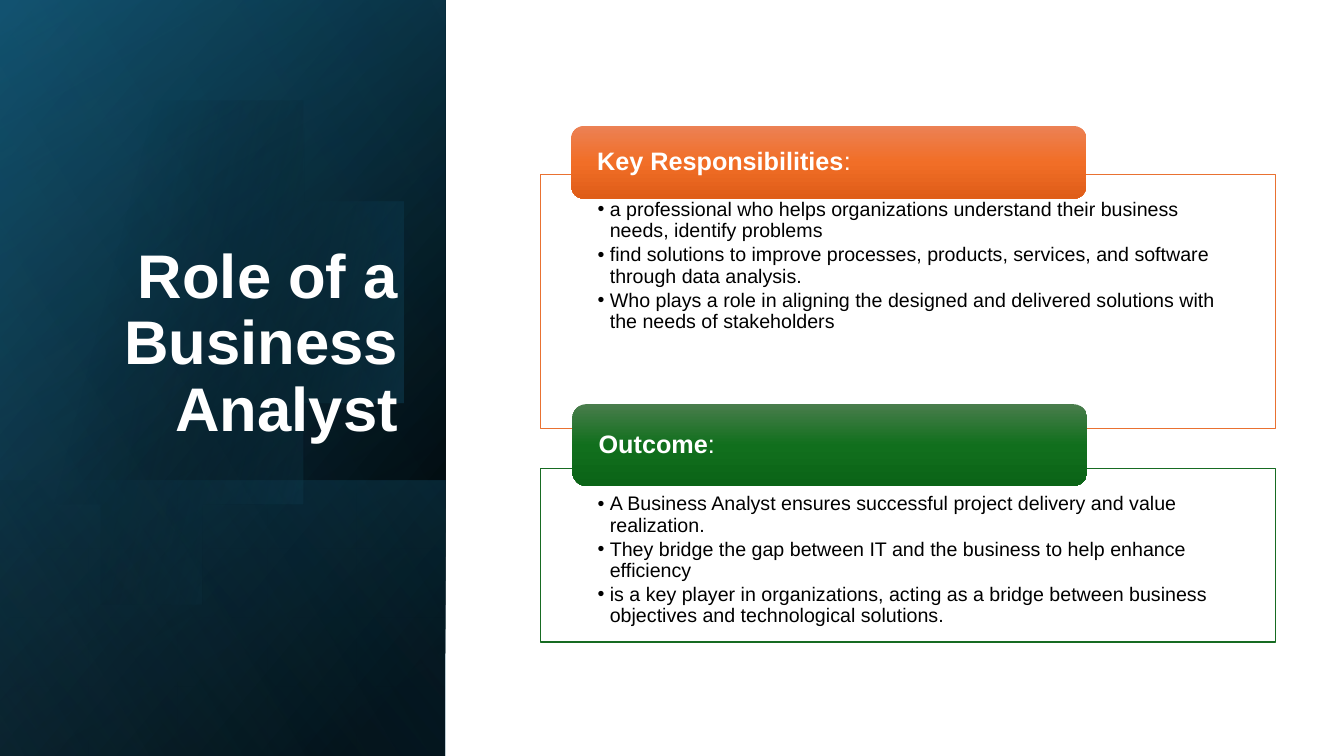
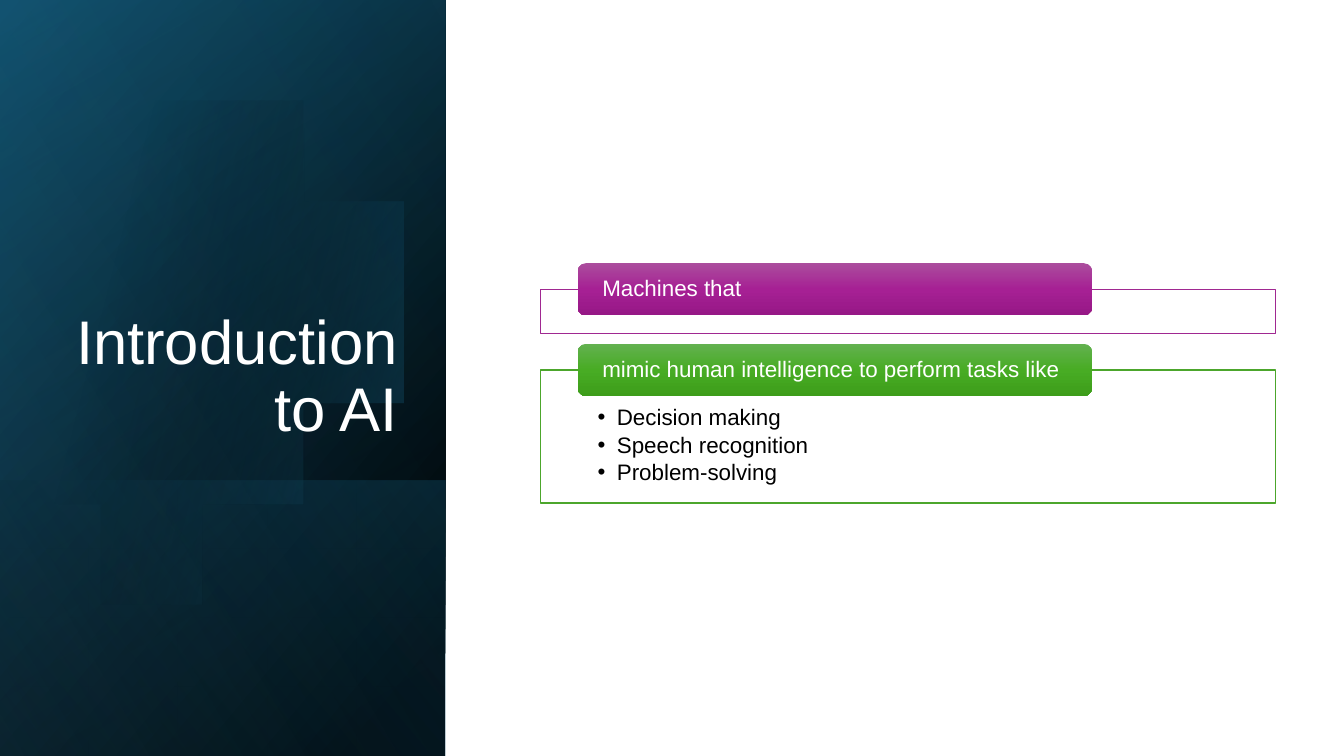
from math import acos, cos, sin, pi

from lxml.etree import SubElement
from pptx import Presentation
from pptx.dml.color import RGBColor
from pptx.enum.shapes import MSO_SHAPE
from pptx.enum.text import MSO_ANCHOR, MSO_AUTO_SIZE, PP_ALIGN
from pptx.oxml.ns import qn
from pptx.util import Inches, Pt

W, H = 13.33, 7.5
FONT, WHITE, BLACK = "Arial", "FFFFFF", "000000"
DEEP, TEAL, SKY = "0F4861", "156082", "43AFE2"
PANEL_W = W * 0.3315
CARD_X, CARD_W = W * 0.402, W * 0.547
TAB_SHARE = 0.7


def rgb(value):
    return RGBColor.from_string(value)


def gradient(sp, angle, stops):
    """Stops are (position %, colour, opacity %); the angle runs clockwise."""
    sp.fill.gradient()
    sp.fill.gradient_angle = (360 - angle) % 360
    gs_list = sp.element.spPr.find(".//" + qn("a:gsLst"))
    for old in list(gs_list):
        gs_list.remove(old)
    for pos, color, opacity in stops:
        gs = SubElement(gs_list, qn("a:gs"), pos=str(pos * 1000))
        clr = SubElement(gs, qn("a:srgbClr"), val=color)
        if opacity < 100:
            SubElement(clr, qn("a:alpha"), val=str(opacity * 1000))


def add_block(s, kind, x, y, w, h):
    sp = s.shapes.add_shape(kind, Inches(x), Inches(y), Inches(w), Inches(h))
    sp.shadow.inherit = False
    sp.line.fill.background()
    return sp


def set_frame(tf, anchor, left, top, right, bottom):
    tf.word_wrap = True
    tf.auto_size = MSO_AUTO_SIZE.NONE
    tf.vertical_anchor = anchor
    tf.margin_left, tf.margin_top = Inches(left), Inches(top)
    tf.margin_right, tf.margin_bottom = Inches(right), Inches(bottom)


def add_run(p, text, size, color, bold=False):
    r = p.add_run()
    r.text = text
    r.font.name, r.font.size, r.font.bold = FONT, Pt(size), bold
    r.font.color.rgb = rgb(color)


def add_bullet(p, indent):
    pPr = p._p.get_or_add_pPr()
    pPr.set("marL", str(Inches(indent)))
    pPr.set("indent", str(-Inches(indent)))
    SubElement(SubElement(pPr, qn("a:buClr")), qn("a:srgbClr"), val=BLACK)
    SubElement(pPr, qn("a:buFont"), typeface=FONT)
    SubElement(pPr, qn("a:buChar"), char="•")


def turned_band(s, x, y, w, h, angle, stops):
    """Rectangle filling the box, turned a quarter and mirrored."""
    sp = add_block(s, MSO_SHAPE.RECTANGLE,
                   x + (w - h) / 2, y + (h - w) / 2, h, w)
    sp.rotation = 90
    sp.element.spPr.find(qn("a:xfrm")).set("flipH", "1")
    gradient(sp, angle, stops)


def cut_disc(s, cx, cy, radius, edge, steps=90):
    """Disc with its left part cut off at the panel's edge."""
    half = acos((edge - cx) / radius)
    angles = [-half + 2 * half * i / steps for i in range(steps + 1)]
    points = [(cx + radius * cos(a), cy + radius * sin(a)) for a in angles]
    fb = s.shapes.build_freeform(*points[0], scale=Inches(1))
    fb.add_line_segments(points[1:], close=True)
    sp = fb.convert_to_shape()
    sp.shadow.inherit = False
    sp.line.fill.background()
    gradient(sp, 14, [(0, BLACK, 0), (29, BLACK, 0), (100, TEAL, 43)])


def side_panel(s, x, y, w, h):
    turned_band(s, x, y, w, h, 50,
                [(0, BLACK, 100), (8, BLACK, 100), (100, DEEP, 100)])
    turned_band(s, x, y, w, h, 30,
                [(0, BLACK, 0), (99, TEAL, 46), (100, TEAL, 46)])
    low = h * 0.365
    turned_band(s, x, y + h - low, w, low, 130,
                [(0, TEAL, 29), (2, TEAL, 29), (100, BLACK, 30)])
    cut_disc(s, x + w * 0.328, y + h * 0.45, h * 0.303, x)
    turned_band(s, x, y, w, h, 120,
                [(0, BLACK, 0), (99, SKY, 11), (100, SKY, 11)])


def panel_title(s, text, left, bold):
    title = s.shapes.title
    title.element.getparent().append(title.element)  # in front of the panel
    title.left, title.top = Inches(left), Inches(1.84)
    title.width, title.height = Inches(4.05 - left), Inches(2.62)
    tf = title.text_frame
    set_frame(tf, MSO_ANCHOR.BOTTOM, 0.1, 0.05, 0.1, 0.05)
    p = tf.paragraphs[0]
    p.alignment, p.line_spacing = PP_ALIGN.RIGHT, 0.9
    add_run(p, text, 44, WHITE, bold)


def card(s, box, style, line, tab_stops, tab, label, bullets):
    """Outlined list with a tab over its top edge; tab is (dx, dy, height)."""
    x, y, w, h = box
    # Outlined body
    body = add_block(s, MSO_SHAPE.RECTANGLE, x, y, w, h)
    body.fill.solid()
    body.fill.fore_color.rgb = rgb(WHITE)
    body.line.color.rgb, body.line.width = rgb(line), Pt(1)
    tf = body.text_frame
    set_frame(tf, MSO_ANCHOR.TOP, 0.57, style["top"], 0.57, 0.11)
    for i, text in enumerate(bullets):
        p = tf.add_paragraph() if i else tf.paragraphs[0]
        p.level, p.alignment, p.line_spacing = 1, PP_ALIGN.LEFT, 0.9
        p.space_before = Pt(style["gap"] if i else 0)
        add_bullet(p, style["indent"])
        add_run(p, text, style["size"], BLACK)
    # Coloured tab
    dx, dy, tab_h = tab
    sp = add_block(s, MSO_SHAPE.ROUNDED_RECTANGLE,
                   x + dx, y + dy, w * TAB_SHARE, tab_h)
    gradient(sp, 90, [(pos, c, 100) for pos, c in zip((0, 50, 100), tab_stops)])
    set_frame(sp.text_frame, MSO_ANCHOR.MIDDLE, 0.22, 0, 0.22, 0)
    p = sp.text_frame.paragraphs[0]
    p.alignment, p.line_spacing = PP_ALIGN.LEFT, 0.9
    for text, bold in label:
        add_run(p, text, style["label"], WHITE, bold)


def panel_slide(prs, title, title_left, title_bold, style, cards):
    s = prs.slides.add_slide(prs.slide_layouts[5])
    side_panel(s, 0, 0, PANEL_W, H)
    panel_title(s, title, title_left, title_bold)
    for top, height, *rest in cards:
        card(s, (CARD_X, top, CARD_W, height), style, *rest)


ROLE_STYLE = {"size": 14, "label": 18, "indent": 0.12, "gap": 2.1, "top": 0.25}
ROLE_CARDS = [
    (1.73, 2.52, "E97131", ("EC8154", "F16E27", "DF5D18"), (0.31, -0.48, 0.72),
     [("Key Responsibilities", True), (":", False)],
     ["a professional who helps organizations understand their business "
      "needs, identify problems",
      "find solutions to improve processes, products, services, and software "
      "through data analysis.",
      "Who plays a role in aligning the designed and delivered solutions with "
      "the needs of stakeholders"]),
    (4.65, 1.72, "176B22", ("497D4C", "116F1D", "0B6417"), (0.32, -0.64, 0.81),
     [("Outcome", True), (":", False)],
     ["A Business Analyst ensures successful project delivery and value "
      "realization.",
      "They bridge the gap between IT and the business to help enhance "
      "efficiency",
      "is a key player in organizations, acting as a bridge between business "
      "objectives and technological solutions."]),
]

AI_STYLE = {"size": 16, "label": 16, "indent": 0.19, "gap": 2.4, "top": 0.36}
AI_TAB = (0.37, -0.26, 0.52)
AI_CARDS = [
    (2.87, 0.44, "A02891", ("AB4E9D", "A62094", "961886"), AI_TAB,
     [("Machines that", False)], []),
    (3.67, 1.32, "4CA62C", ("63B150", "48AC24", "3D9D1A"), AI_TAB,
     [("mimic human intelligence to perform tasks like", False)],
     ["Decision making", "Speech recognition", "Problem-solving"]),
]


def main():
    prs = Presentation()
    prs.slide_width, prs.slide_height = Inches(W), Inches(H)
    panel_slide(prs, "Role of a Business Analyst", 0.64, True,
                ROLE_STYLE, ROLE_CARDS)
    panel_slide(prs, "Introduction to AI", 0.22, False, AI_STYLE, AI_CARDS)
    prs.save("out.pptx")


if __name__ == "__main__":
    main()
